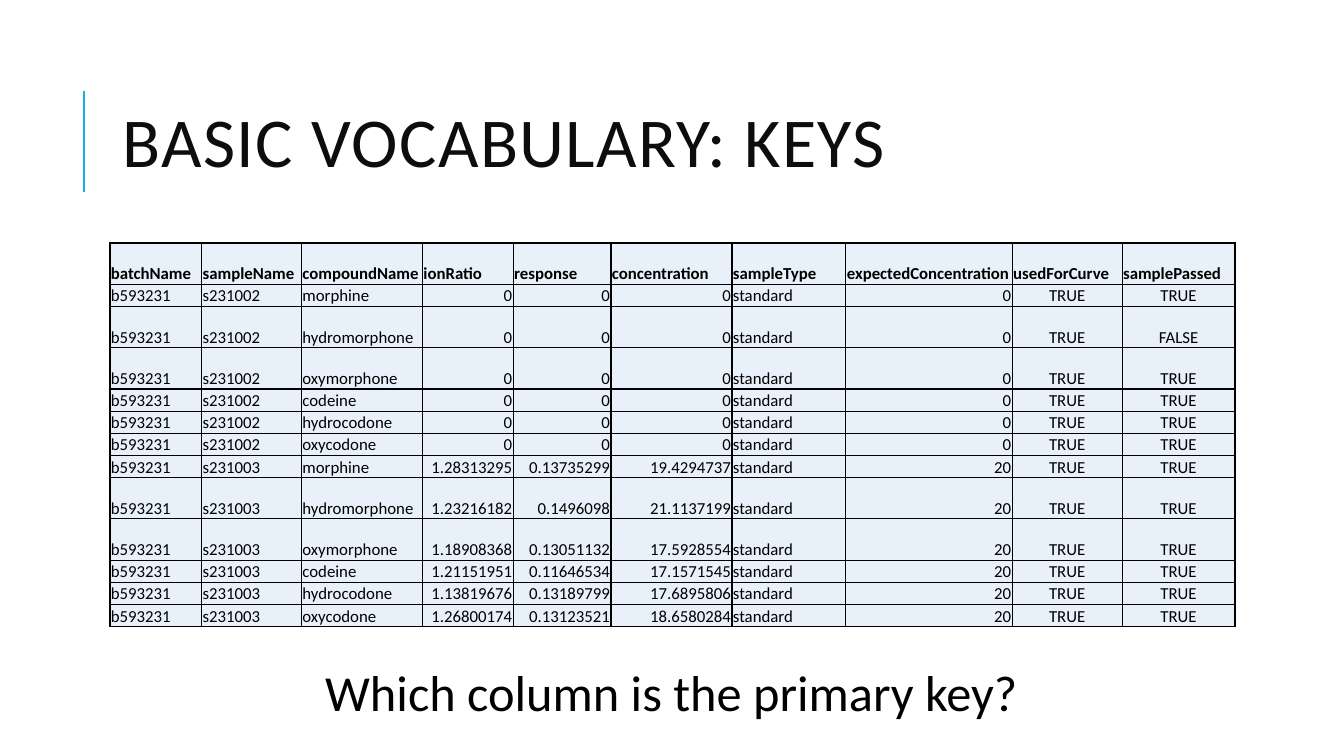
from pptx import Presentation
from pptx.dml.color import RGBColor
from pptx.enum.shapes import MSO_CONNECTOR
from pptx.enum.text import MSO_ANCHOR, PP_ALIGN
from pptx.oxml import parse_xml
from pptx.oxml.ns import nsdecls
from pptx.util import Pt
from lxml.etree import SubElement
from pptx.oxml.ns import qn

PX = 9144  # 100 px to the inch
FONT = "Calibri"
COLORS = {"accent": "1CADE4", "title": "0D0D0D", "text": "000000", "cell": "E8F1FA"}

LEFT, CENTER, RIGHT = PP_ALIGN.LEFT, PP_ALIGN.CENTER, PP_ALIGN.RIGHT
# Heading, width and body alignment of each column
COLUMNS = [
    ("batchName", 91, LEFT), ("sampleName", 99, LEFT), ("compoundName", 120, LEFT),
    ("ionRatio", 90, RIGHT), ("response", 97, RIGHT), ("concentration", 120, RIGHT),
    ("sampleType", 113, LEFT), ("expectedConcentration", 165, RIGHT),
    ("usedForCurve", 109, CENTER), ("samplePassed", 112, CENTER),
]
COMPOUNDS = ["morphine", "hydromorphone", "oxymorphone", "codeine", "hydrocodone", "oxycodone"]
TALL_COMPOUNDS = {"hydromorphone", "oxymorphone"}
TALL, SHORT = 41, 22
# Sample, expected concentration and measured values per compound
SAMPLES = [
    ("s231002", "0", [("0", "0", "0")] * len(COMPOUNDS)),
    ("s231003", "20", [
        ("1.28313295", "0.13735299", "19.4294737"),
        ("1.23216182", "0.1496098", "21.1137199"),
        ("1.18908368", "0.13051132", "17.5928554"),
        ("1.21151951", "0.11646534", "17.1571545"),
        ("1.13819676", "0.13189799", "17.6895806"),
        ("1.26800174", "0.13123521", "18.6580284"),
    ]),
]
FAILED = {("s231002", "hydromorphone")}


def style(paragraph, size, color, alignment=LEFT, bold=False):
    paragraph.alignment = alignment
    font = paragraph.font
    font.name, font.size, font.bold = FONT, Pt(size), bold
    font.color.rgb = RGBColor.from_string(COLORS[color])


def add_text(slide, box, text, size, color, alignment, anchor):
    shape = slide.shapes.add_textbox(*(length * PX for length in box))
    frame = shape.text_frame
    frame.word_wrap = True
    frame.vertical_anchor = anchor
    paragraph = frame.paragraphs[0]
    paragraph.text = text
    style(paragraph, size, color, alignment)
    return paragraph


def add_heading(slide, left, top, width, height):
    # Accent rule, left of the title
    rule_x, rule_top, rule_bottom = left - 29, top + 26, top + 126
    rule = slide.shapes.add_connector(
        MSO_CONNECTOR.STRAIGHT, rule_x * PX, rule_bottom * PX, rule_x * PX, rule_top * PX)
    rule.line.color.rgb = RGBColor.from_string(COLORS["accent"])
    rule.line.width = Pt(1.5)
    SubElement(rule._element.spPr, qn("a:effectLst"))
    # Title with loose letter spacing
    paragraph = add_text(slide, (left, top, width, height), "BASIC VOCABULARY: KEYS",
                         50, "title", LEFT, MSO_ANCHOR.MIDDLE)
    paragraph.line_spacing = 0.8
    paragraph.runs[0]._r.get_or_add_rPr().set("spc", "100")


def table_rows():
    rows = [[heading for heading, _, _ in COLUMNS]]
    for sample, expected, measurements in SAMPLES:
        for compound, measured in zip(COMPOUNDS, measurements):
            passed = "FALSE" if (sample, compound) in FAILED else "TRUE"
            rows.append(["b593231", sample, compound, *measured,
                         "standard", expected, "TRUE", passed])
    return rows


def fill_cell(cell, text, alignment, bold):
    cell.margin_left = cell.margin_right = cell.margin_top = PX
    cell.margin_bottom = 0
    cell.vertical_anchor = MSO_ANCHOR.BOTTOM
    paragraph = cell.text_frame.paragraphs[0]
    paragraph.text = text
    style(paragraph, 12, "text", alignment, bold)
    # Borders come before the fill in the cell properties
    properties = cell._tc.get_or_add_tcPr()
    for side in ("lnL", "lnR", "lnT", "lnB"):
        properties.append(parse_xml(
            f'<a:{side} {nsdecls("a")} w="{Pt(1)}"><a:solidFill>'
            f'<a:srgbClr val="{COLORS["text"]}"/></a:solidFill></a:{side}>'))
    cell.fill.solid()
    cell.fill.fore_color.rgb = RGBColor.from_string(COLORS["cell"])


def add_results_table(slide, left, top):
    rows = table_rows()
    heights = [TALL if index == 0 or row[2] in TALL_COMPOUNDS else SHORT
               for index, row in enumerate(rows)]
    width = sum(column_width for _, column_width, _ in COLUMNS)
    table = slide.shapes.add_table(len(rows), len(COLUMNS), left * PX, top * PX,
                                   width * PX, sum(heights) * PX).table
    table.horz_banding = False
    for column, (_, column_width, _) in zip(table.columns, COLUMNS):
        column.width = column_width * PX
    for row_index, (row, height) in enumerate(zip(rows, heights)):
        table.rows[row_index].height = height * PX
        is_header = row_index == 0
        for column_index, text in enumerate(row):
            alignment = LEFT if is_header else COLUMNS[column_index][2]
            fill_cell(table.cell(row_index, column_index), text, alignment, is_header)


def add_question(slide, *box):
    add_text(slide, box, "Which column is the primary key?", 36, "text", CENTER, MSO_ANCHOR.TOP)


def main():
    presentation = Presentation()
    presentation.slide_width, presentation.slide_height = 1333 * PX, 750 * PX
    slide = presentation.slides.add_slide(presentation.slide_layouts[6])
    add_heading(slide, 112, 64, 1063, 164)
    add_results_table(slide, 109, 241)
    add_question(slide, 267, 651, 798, 71)
    presentation.save("out.pptx")


if __name__ == "__main__":
    main()
